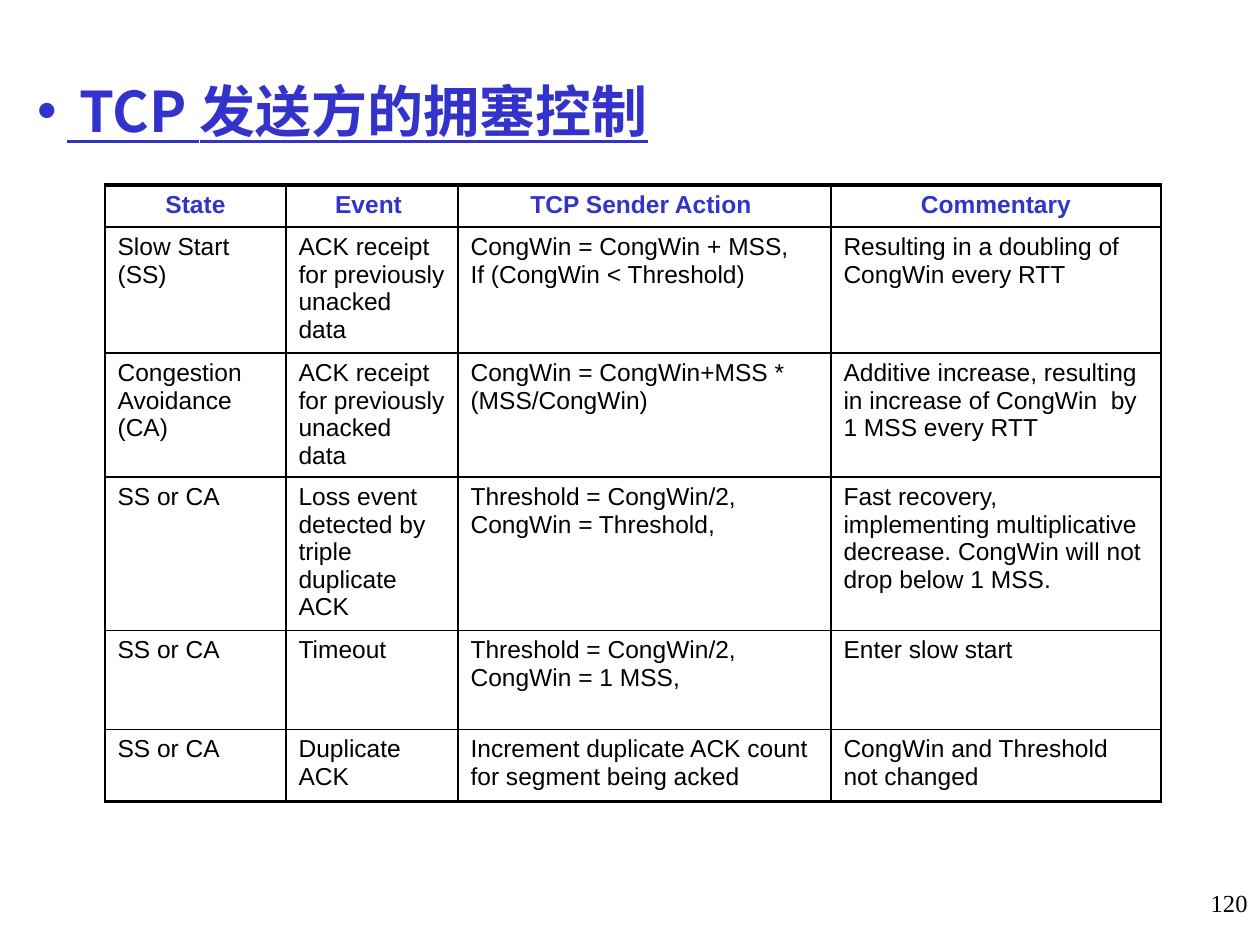
from copy import deepcopy
from itertools import product

from lxml import etree
from pptx import Presentation
from pptx.dml.color import RGBColor
from pptx.enum.text import MSO_ANCHOR, MSO_AUTO_SIZE, PP_ALIGN
from pptx.oxml.ns import qn
from pptx.util import Pt

LEFT, CENTER, RIGHT = PP_ALIGN.LEFT, PP_ALIGN.CENTER, PP_ALIGN.RIGHT
MIDDLE = MSO_ANCHOR.MIDDLE
NO_AUTOFIT = MSO_AUTO_SIZE.NONE

PX = 914400 // 126
SLIDE_SIZE = (1260, 945)
TITLE_BOX = (25, 46, 1071, 129)
TABLE_BOX = (105, 185, 1056, 612)
NUMBER_BOX = (998, 882, 262, 63)

BLUE, BLACK = RGBColor(0x33, 0x33, 0xCC), RGBColor(0, 0, 0)
THEME = {
    "title": {"name": "Noto Sans CJK SC", "size": Pt(32), "bold": True,
              "underline": True, "color": BLUE},
    "head": {"name": "Arial", "size": Pt(14), "bold": True, "color": BLUE},
    "body": {"name": "Arial", "size": Pt(14), "bold": False, "color": BLACK},
    "number": {"name": "Times New Roman", "size": Pt(14), "color": BLACK},
    "rule": {"side": 0.75, "inner": 1, "outer": 2},
}

BULLET_INDENT = 29
COLUMN_WIDTHS = (181, 172, 373, 330)
ROW_HEIGHTS = (42, 126, 123, 150, 99, 72)
ACK_RECEIPT = "ACK receipt for previously unacked data"
ROWS = (
    ("State", "Event ", "TCP Sender Action ", "Commentary"),
    ("Slow Start (SS)", ACK_RECEIPT,
     "CongWin = CongWin + MSS,\nIf (CongWin < Threshold)",
     "Resulting in a doubling of CongWin every RTT"),
    ("Congestion\nAvoidance (CA)", ACK_RECEIPT,
     "CongWin = CongWin+MSS * (MSS/CongWin)",
     "Additive increase, resulting in increase of CongWin  by 1 MSS every RTT"),
    ("SS or CA", "Loss event detected by triple duplicate ACK",
     "Threshold = CongWin/2,\nCongWin = Threshold,",
     "Fast recovery, implementing multiplicative decrease. "
     "CongWin will not drop below 1 MSS."),
    ("SS or CA", "Timeout", "Threshold = CongWin/2,\nCongWin = 1 MSS,",
     "Enter slow start"),
    ("SS or CA", "Duplicate ACK",
     "Increment duplicate ACK count for segment being acked",
     "CongWin and Threshold not changed"),
)


def emu(box):
    return [v * PX for v in box]


def write(tf, text, style, align):
    """Fill a text frame, one paragraph per line of text."""
    tf.word_wrap = True
    tf.text = text
    for p in tf.paragraphs:
        p.alignment = align
        r = p.runs[0]
        for key, value in THEME[style].items():
            if key == "color":
                r.font.color.rgb = value
            else:
                setattr(r.font, key, value)
        # The paragraph end takes the run's size, so it adds no line height.
        end = deepcopy(r.font._element)
        end.tag = qn("a:endParaRPr")
        p._p.append(end)


def add_title(s, box, text):
    title = s.shapes.title
    title.left, title.top, title.width, title.height = emu(box)
    tf = title.text_frame
    tf.auto_size = NO_AUTOFIT
    tf.vertical_anchor = MIDDLE
    write(tf, text, "title", LEFT)
    p = tf.paragraphs[0]
    pPr = p._p.get_or_add_pPr()
    pPr.set("marL", str(BULLET_INDENT * PX))
    pPr.set("indent", str(-BULLET_INDENT * PX))
    etree.SubElement(pPr, qn("a:buFont"), typeface="Arial")
    etree.SubElement(pPr, qn("a:buChar"), char="•")
    rPr = p.runs[0].font._element
    etree.SubElement(rPr, qn("a:ea"), typeface=THEME["title"]["name"])


def set_borders(cell, widths):
    """Draw the cell's edges; widths in points, keyed L, R, T, B."""
    tcPr = cell._tc.get_or_add_tcPr()
    for i, (side, width) in enumerate(widths.items()):
        ln = etree.Element(qn("a:ln" + side), w=str(int(Pt(width))))
        fill = etree.SubElement(ln, qn("a:solidFill"))
        etree.SubElement(fill, qn("a:srgbClr"), val=str(BLACK))
        tcPr.insert(i, ln)


def add_state_table(s, box):
    table = s.shapes.add_table(len(ROWS), len(COLUMN_WIDTHS), *emu(box)).table
    table.first_row = table.horz_banding = False
    for column, width in zip(table.columns, COLUMN_WIDTHS):
        column.width = width * PX
    for row, height in zip(table.rows, ROW_HEIGHTS):
        row.height = height * PX
    rule, last = THEME["rule"], len(ROWS) - 1
    for i, j in product(range(len(ROWS)), range(len(COLUMN_WIDTHS))):
        cell = table.cell(i, j)
        cell.fill.background()
        cell.margin_bottom = 0
        style, align = ("body", LEFT) if i else ("head", CENTER)
        write(cell.text_frame, ROWS[i][j], style, align)
        set_borders(cell, {
            "L": rule["side"], "R": rule["side"],
            "T": rule["inner" if i else "outer"],
            "B": rule["outer" if i == last else "inner"],
        })


def add_page_number(s, box, number):
    write(s.shapes.add_textbox(*emu(box)).text_frame, number, "number", RIGHT)


def main():
    prs = Presentation()
    prs.slide_width, prs.slide_height = emu(SLIDE_SIZE)
    s = prs.slides.add_slide(prs.slide_layouts.get_by_name("Title Only"))
    add_page_number(s, NUMBER_BOX, "120")
    add_title(s, TITLE_BOX, " TCP 发送方的拥塞控制")
    add_state_table(s, TABLE_BOX)
    prs.save("out.pptx")


if __name__ == "__main__":
    main()
